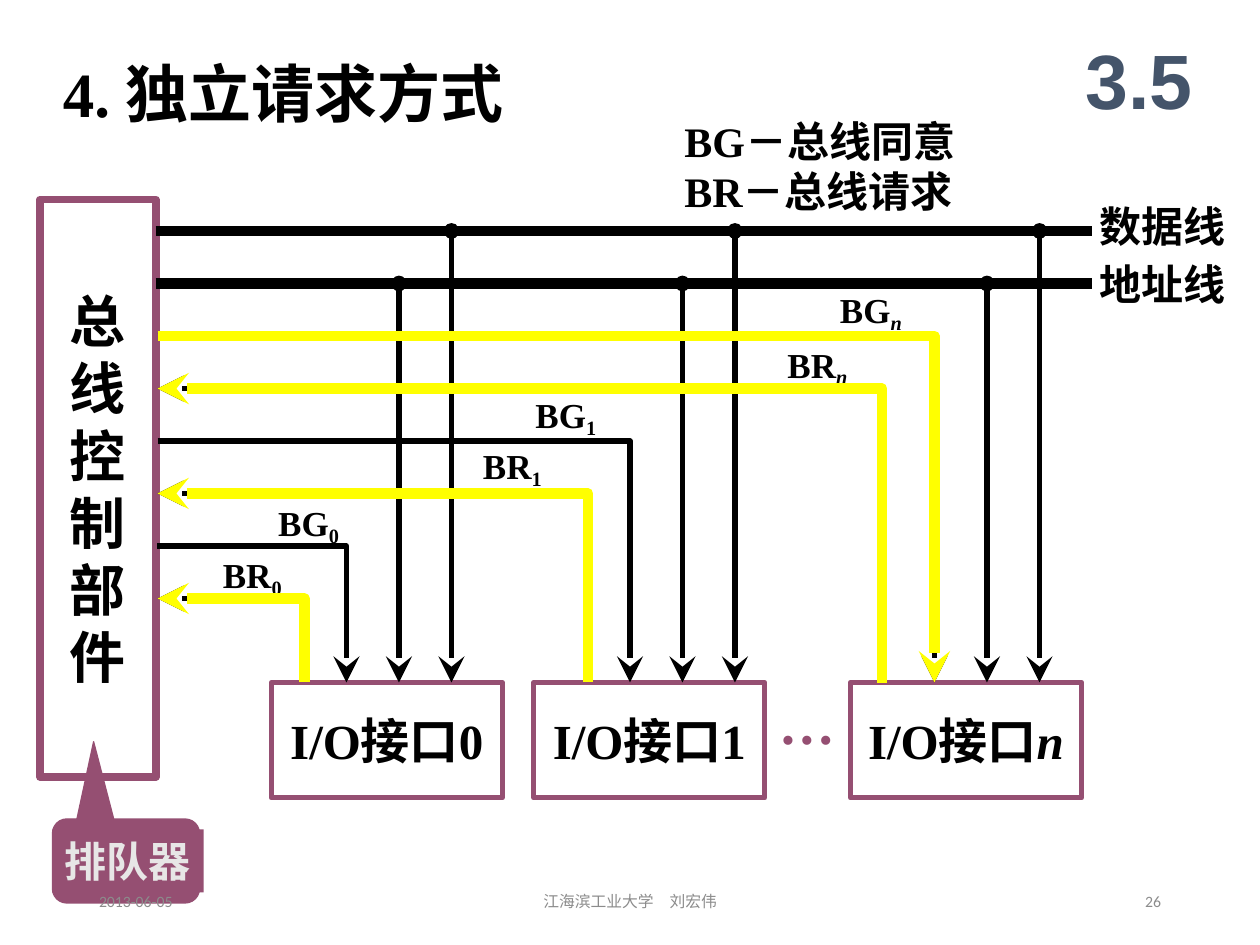
from pptx import Presentation
from pptx.dml.color import RGBColor
from pptx.enum.shapes import MSO_CONNECTOR, MSO_SHAPE
from pptx.enum.text import MSO_ANCHOR, PP_ALIGN
from pptx.oxml.ns import qn
from pptx.util import Pt
from lxml.etree import SubElement

COLORS = {
    "ink": "000000",
    "plum": "954F72",
    "yellow": "FFFF00",
    "pale": "E7E6E6",
    "slate": "44546A",
    "gray": "8C8C8C",
}
PORT_BOTTOM = 390
CONTROL_RIGHT = 90
DATA_Y, ADDRESS_Y = 132, 162


class BusSlide:
    font = "Times New Roman"

    def __init__(self, deck):
        self.slide = deck.slides.add_slide(deck.slide_layouts[6])
        self.shapes = self.slide.shapes

    def color(self, name):
        return RGBColor.from_string(COLORS[name])

    def fill_text(self, shape, text, size, color="ink", align=PP_ALIGN.LEFT,
                  anchor=MSO_ANCHOR.TOP, wrap=False, bold=True, font=None):
        frame = shape.text_frame
        frame.word_wrap = wrap
        frame.vertical_anchor = anchor
        frame.text = text
        for para in frame.paragraphs:
            para.alignment = align
            for span in para.runs:
                self.style(span, size, color, bold, font)

    def style(self, span, size, color="ink", bold=True, font=None):
        span.font.name = font or self.font
        span.font.size = Pt(size)
        span.font.bold = bold
        span.font.color.rgb = self.color(color)

    def text(self, left, top, width, height, text, size, **options):
        box = self.shapes.add_textbox(Pt(left), Pt(top), Pt(width), Pt(height))
        self.fill_text(box, text, size, **options)
        return box

    def box(self, kind, left, top, width, height, fill=None, line=None, weight=1):
        shape = self.shapes.add_shape(kind, Pt(left), Pt(top), Pt(width), Pt(height))
        shape.shadow.inherit = False
        if fill:
            shape.fill.solid()
            shape.fill.fore_color.rgb = self.color(fill)
        else:
            shape.fill.background()
        if line:
            self.stroke(shape, line, weight)
        else:
            shape.line.fill.background()
        return shape

    def stroke(self, shape, color, weight, head=None, tail=None):
        shape.line.color.rgb = self.color(color)
        shape.line.width = Pt(weight)
        outline = shape.element.spPr.find(qn("a:ln"))
        for tag, end in (("a:headEnd", head), ("a:tailEnd", tail)):
            if end:
                size = "lg" if end == "stealth" and weight < 6 else "med"
                SubElement(outline, qn(tag), type=end, w=size, len=size)

    def line(self, start, end, weight, head=None, tail=None):
        points = [Pt(value) for value in (*start, *end)]
        connector = self.shapes.add_connector(MSO_CONNECTOR.STRAIGHT, *points)
        self.stroke(connector, "ink", weight, head, tail)
        SubElement(connector.element.spPr, qn("a:effectLst"))

    def route(self, x, y, color, weight, **ends):
        builder = self.shapes.build_freeform(Pt(CONTROL_RIGHT), Pt(y))
        corners = [(Pt(x), Pt(y)), (Pt(x), Pt(PORT_BOTTOM))]
        builder.add_line_segments(corners, close=False)
        shape = builder.convert_to_shape()
        shape.shadow.inherit = False
        shape.fill.background()
        self.stroke(shape, color, weight, **ends)

    def add_index(self, shape, index, size):
        span = shape.text_frame.paragraphs[0].add_run()
        span.text = index
        self.style(span, size)
        span.font.italic = index == "n"

    def signal(self, left, top, name, index):
        label = self.text(left, top, 66, 24, name, 20, wrap=True)
        frame = label.text_frame
        frame.margin_left = frame.margin_right = 0
        frame.margin_top = frame.margin_bottom = 0
        self.add_index(label, index, 20)
        properties = list(label.element.iter(qn("a:rPr")))[-1]
        properties.set("baseline", "-20000")

    def interface(self, left, index):
        shape = self.box(MSO_SHAPE.RECTANGLE, left, PORT_BOTTOM, 132, 66,
                         line="plum", weight=3)
        self.fill_text(shape, "I/O接口", 28, align=PP_ALIGN.CENTER,
                       anchor=MSO_ANCHOR.MIDDLE)
        self.add_index(shape, index, 28)


def main():
    deck = Presentation()
    deck.slide_width, deck.slide_height = Pt(720), Pt(540)
    page = BusSlide(deck)

    callout = page.box(MSO_SHAPE.ROUNDED_RECTANGULAR_CALLOUT, 30, 468, 84, 48,
                       "plum", "plum", 0.75)
    for position, value in enumerate((-0.22, -1.42, 0.17)):
        callout.adjustments[position] = value
    queue = page.box(MSO_SHAPE.RECTANGLE, 30, 474, 86.4, 36, "plum")
    page.fill_text(queue, "排队器", 24, "pale")

    page.text(28.8, 27.4, 331, 50, "4. 独立请求方式", 36, wrap=True)

    control = page.box(MSO_SHAPE.RECTANGLE, 23, 114, 66, 330, line="plum", weight=4.5)
    page.fill_text(control, "\n".join("总线控制部件"), 32, align=PP_ALIGN.CENTER,
                   anchor=MSO_ANCHOR.MIDDLE)
    for bus_y, label_y, label in ((DATA_Y, 111, "数据线"), (ADDRESS_Y, 144, "地址线")):
        page.line((89, bus_y), (624, bus_y), 6)
        page.text(621.4, label_y, 87, 36, label, 24)

    ports = (
        ("0", 155, 174, 198, 342, (127.4, 316), (159, 286.6)),
        ("1", 305, 336, 360, 282, (276, 254), (306, 224.6)),
        ("n", 486, 504, 534, 222, (450, 196), (480, 165)),
    )
    for index, left, request_x, grant_x, request_y, request_at, grant_at in ports:
        page.interface(left, index)
        page.route(request_x, request_y, "ink", 3, head="stealth")
        page.route(grant_x, request_y - 30, "ink", 3, tail="stealth")
        page.signal(*request_at, "BR", index)
        page.signal(*grant_at, "BG", index)
    for _, _, _, grant_x, *_ in ports:
        for offset, bus_y in ((30, ADDRESS_Y), (60, DATA_Y)):
            x = grant_x + offset
            page.line((x, bus_y), (x, PORT_BOTTOM), 3, "oval", "stealth")
    page.text(438, PORT_BOTTOM, 46.8, 45, "…", 32, color="plum")
    page.text(384, 62.2, 186, 66, "BG－总线同意\nBR－总线请求", 24, wrap=True)

    for _, _, request_x, _, request_y, *_ in ports:
        page.route(request_x, request_y, "yellow", 6, head="stealth")
    page.route(534, 192, "yellow", 6, tail="stealth")

    page.text(606, 12, 90, 66, "3.5", 44, color="slate", font="Arial",
              align=PP_ALIGN.CENTER, anchor=MSO_ANCHOR.MIDDLE, wrap=True)
    footers = (
        (49.5, 162, "2013-06-05", PP_ALIGN.LEFT),
        (238.5, 243, "江海滨工业大学　刘宏伟", PP_ALIGN.CENTER),
        (508.5, 162, "26", PP_ALIGN.RIGHT),
    )
    for left, width, text, align in footers:
        page.text(left, 500.5, width, 28.8, text, 9, color="gray", font="Calibri",
                  align=align, anchor=MSO_ANCHOR.MIDDLE, wrap=True, bold=False)

    deck.save("out.pptx")


if __name__ == "__main__":
    main()
